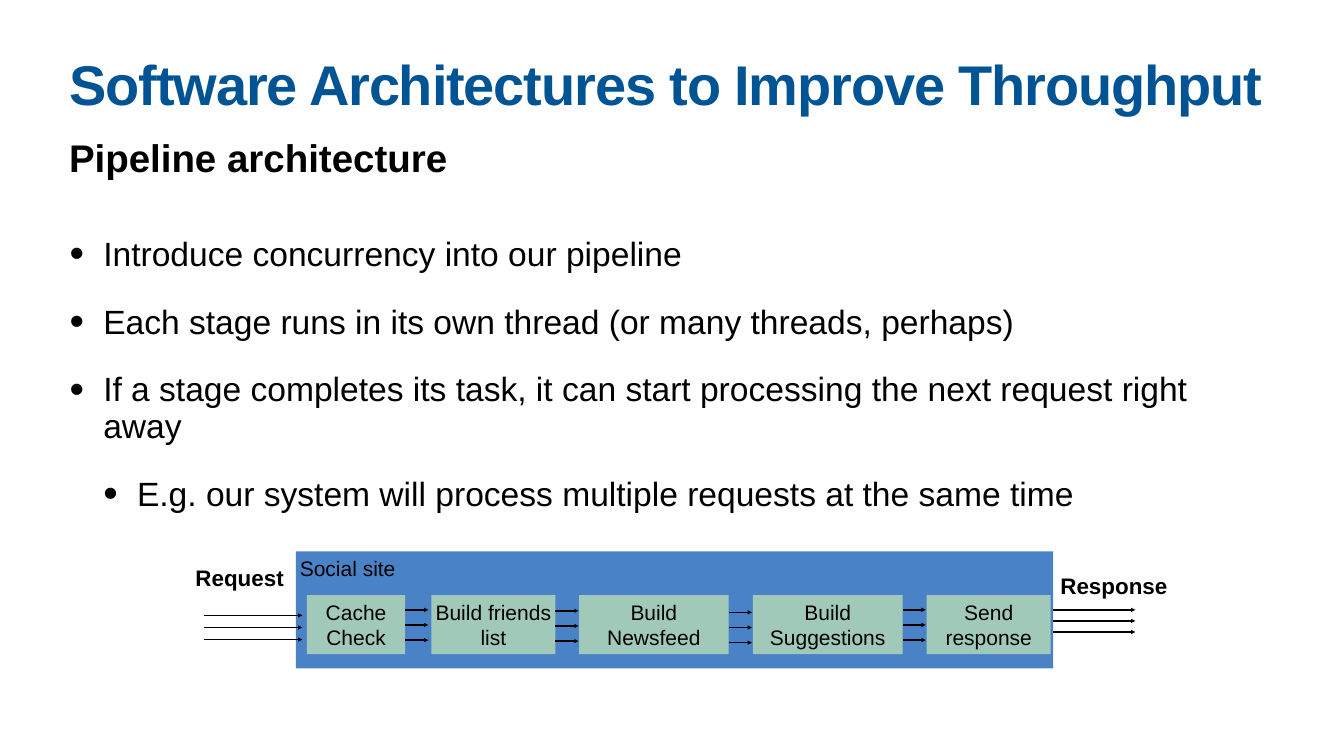
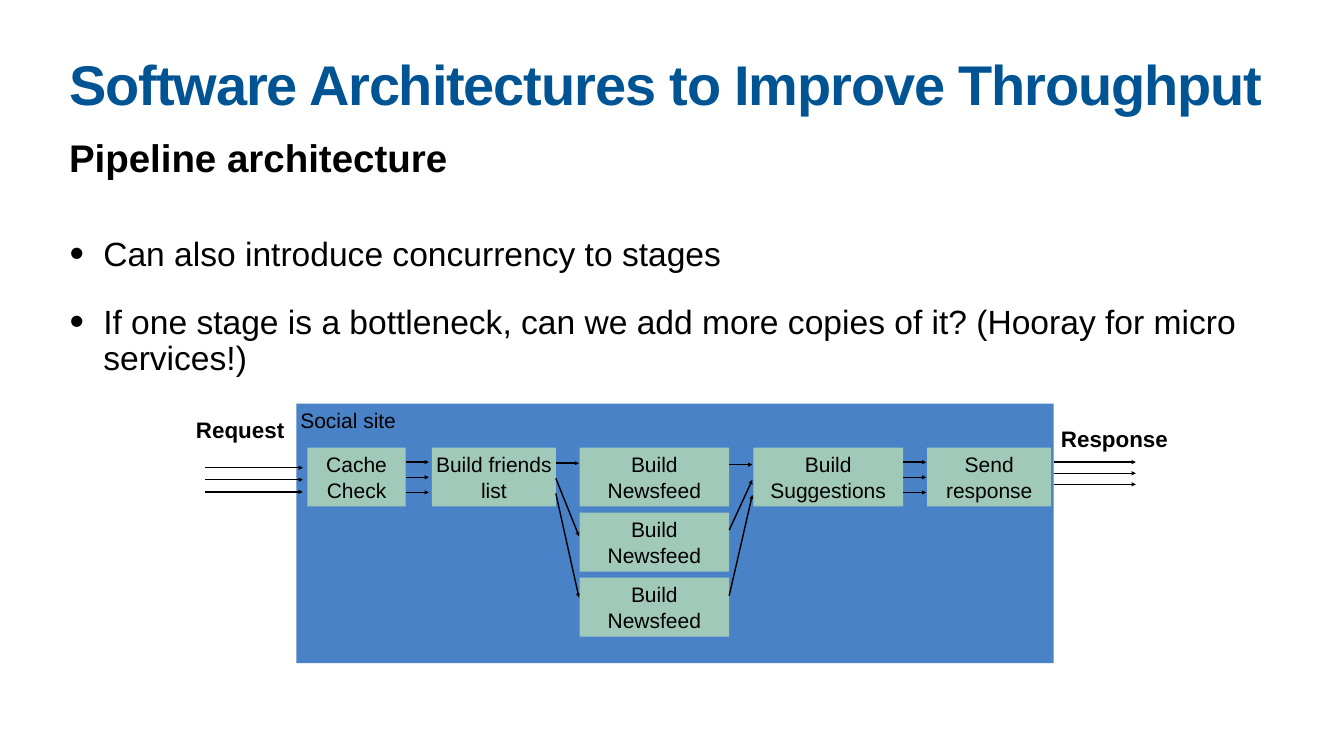
from lxml import etree
from pptx import Presentation
from pptx.dml.color import RGBColor
from pptx.enum.shapes import MSO_CONNECTOR, MSO_SHAPE
from pptx.enum.text import MSO_ANCHOR, PP_ALIGN
from pptx.oxml.ns import qn
from pptx.util import Inches, Pt

TITLE = "Software Architectures to Improve Throughput"
SUBTITLE = "Pipeline architecture"
SYSTEM = "Social site"

# Stage name, width, gap before it, height of its first outgoing arrow
STAGES = [
    ("Cache Check", 1.95, 0.22, 1.16),
    ("Build friends list", 2.46, 0.52, 1.18),
    ("Build Newsfeed", 2.97, 0.47, 1.21),
    ("Build Suggestions", 2.97, 0.48, 1.16),
    ("Send response", 2.46, 0.48, None),
]

# Bullets are (level, text). "copies" repeats a stage downwards;
# "starts" and "ends" replace the heights of the arrows leaving a stage.
SLIDES = [
    {
        "bullets": [
            (0, "Introduce concurrency into our pipeline"),
            (0, "Each stage runs in its own thread (or many threads, perhaps)"),
            (0, "If a stage completes its task, it can start processing "
                "the next request right away"),
            (1, "E.g. our system will process multiple requests at the same time"),
        ],
        "origin": (5.87, 10.94), "height": 2.32,
        "copies": {}, "starts": {}, "ends": {},
    },
    {
        "bullets": [
            (0, "Can also introduce concurrency to stages"),
            (0, "If one stage is a bottleneck, can we add more copies of it? "
                "(Hooray for micro services!)"),
        ],
        "origin": (5.88, 8.01), "height": 5.15,
        "copies": {"Build Newsfeed": 3},
        "starts": {"Build Newsfeed": [1.21, 2.51, 3.81]},
        "ends": {"Build friends list": [1.18, 2.63, 3.85]},
    },
]

BLUE = RGBColor(0x00, 0x54, 0x93)
SYSTEM_BLUE = RGBColor(0x49, 0x82, 0xC6)
STAGE_GREEN = RGBColor(0xA1, 0xC9, 0xBA)
BLACK = RGBColor(0x00, 0x00, 0x00)

FONT = "Arial"
RECT = MSO_SHAPE.RECTANGLE
STRAIGHT = MSO_CONNECTOR.STRAIGHT
LEFT, CENTER = PP_ALIGN.LEFT, PP_ALIGN.CENTER
TOP, MIDDLE = MSO_ANCHOR.TOP, MSO_ANCHOR.MIDDLE

SLIDE_W, SLIDE_H = 26.67, 15
MARGIN = 1.32
TEXT_W = SLIDE_W - 2 * MARGIN
INDENT = 0.67
SYSTEM_W = 15.03
STAGE_TOP, STAGE_H, COPY_STEP = 0.87, 1.17, 1.29
HOP, HOP_STEP = 0.46, 0.3


def steps(first, step):
    return [first + step * i for i in range(3)]


def set_frame(sp, inset, anchor=TOP, wrap=True):
    tf = sp.text_frame
    tf.margin_left = tf.margin_right = Inches(inset)
    tf.margin_top = tf.margin_bottom = Inches(inset)
    tf.vertical_anchor = anchor
    tf.word_wrap = wrap
    return tf


def add_run(p, text, size, color=BLACK, bold=False, align=LEFT):
    p.alignment = align
    r = p.add_run()
    r.text = text
    r.font.name = FONT
    r.font.size = Pt(size)
    r.font.bold = bold
    r.font.color.rgb = color
    return r


def add_text(slide, box, text, size, inset, color=BLACK, bold=True,
             align=LEFT, anchor=TOP):
    sp = slide.shapes.add_textbox(*map(Inches, box))
    p = set_frame(sp, inset, anchor, wrap=False).paragraphs[0]
    return p, add_run(p, text, size, color, bold, align)


def add_box(slide, box, text, fill, align=CENTER, anchor=MIDDLE):
    sp = slide.shapes.add_shape(RECT, *map(Inches, box))
    sp.shadow.inherit = False
    sp.fill.solid()
    sp.fill.fore_color.rgb = fill
    sp.line.fill.background()
    add_run(set_frame(sp, 0.08, anchor).paragraphs[0], text, 30, align=align)


def add_arrow(slide, x1, y1, x2, y2):
    cx = slide.shapes.add_connector(STRAIGHT, *map(Inches, (x1, y1, x2, y2)))
    cx.line.color.rgb = BLACK
    cx.line.width = Pt(2)
    etree.SubElement(cx.line._get_or_add_ln(), qn("a:tailEnd"), type="triangle")
    etree.SubElement(cx._element.spPr, qn("a:effectLst"))


def add_heading(slide):
    p, r = add_text(slide, (MARGIN, 1.18, TEXT_W, 1.57), TITLE, 79.9, 0.06, BLUE)
    p.line_spacing = 0.8
    r._r.get_or_add_rPr().set("spc", "-160")
    add_text(slide, (MARGIN, 2.6, TEXT_W, 1.02), SUBTITLE, 55, 0.05)


def add_bullets(slide, bullets):
    sp = slide.shapes.add_textbox(*map(Inches, (MARGIN, 4.65, TEXT_W, 9.03)))
    tf = set_frame(sp, 0.06)
    for i, (level, text) in enumerate(bullets):
        p = tf.add_paragraph() if i else tf.paragraphs[0]
        p.level = level
        p.line_spacing = 0.9
        if i:
            p.space_before = Pt(45)
        pPr = p._p.get_or_add_pPr()
        pPr.set("marL", str(Inches(INDENT * (level + 1))))
        pPr.set("indent", str(-Inches(INDENT)))
        etree.SubElement(pPr, qn("a:buSzPct"), val="123000")
        etree.SubElement(pPr, qn("a:buFont"), typeface=FONT)
        etree.SubElement(pPr, qn("a:buChar"), char="•")
        add_run(p, text, 48)


def add_pipeline(slide, data):
    """Draw the system with its stages; heights count from the system's top."""
    left, top = data["origin"]

    def arrows(x1, x2, starts, ends):
        for y1, y2 in zip(starts, ends):
            add_arrow(slide, left + x1, top + y1, left + x2, top + y2)

    def label(x, y, width, text):
        add_text(slide, (left + x, top + y, width, 0.69), text, 32, 0.08,
                 align=CENTER, anchor=MIDDLE)

    add_box(slide, (left, top, SYSTEM_W, data["height"]), SYSTEM, SYSTEM_BLUE,
            LEFT, TOP)
    label(-2.08, 0.17, 1.93, "Request")
    label(SYSTEM_W + 0.06, 0.34, 2.29, "Response")
    for x1, x2, first, step in [(-1.82, 0.13, 1.27, 0.24),
                                (SYSTEM_W, SYSTEM_W + 1.63, 1.16, 0.22)]:
        heights = steps(first, step)
        arrows(x1, x2, heights, heights)

    x = 0
    for name, width, gap, first in STAGES:
        x += gap
        for i in range(data["copies"].get(name, 1)):
            y = top + STAGE_TOP + i * COPY_STEP
            add_box(slide, (left + x, y, width, STAGE_H), name, STAGE_GREEN)
        x += width
        if first:
            heights = steps(first, HOP_STEP)
            arrows(x, x + HOP, data["starts"].get(name, heights),
                   data["ends"].get(name, heights))


def main():
    prs = Presentation()
    prs.slide_width, prs.slide_height = Inches(SLIDE_W), Inches(SLIDE_H)
    for data in SLIDES:
        slide = prs.slides.add_slide(prs.slide_layouts[6])
        add_heading(slide)
        add_bullets(slide, data["bullets"])
        add_pipeline(slide, data)
    prs.save("out.pptx")


if __name__ == "__main__":
    main()
